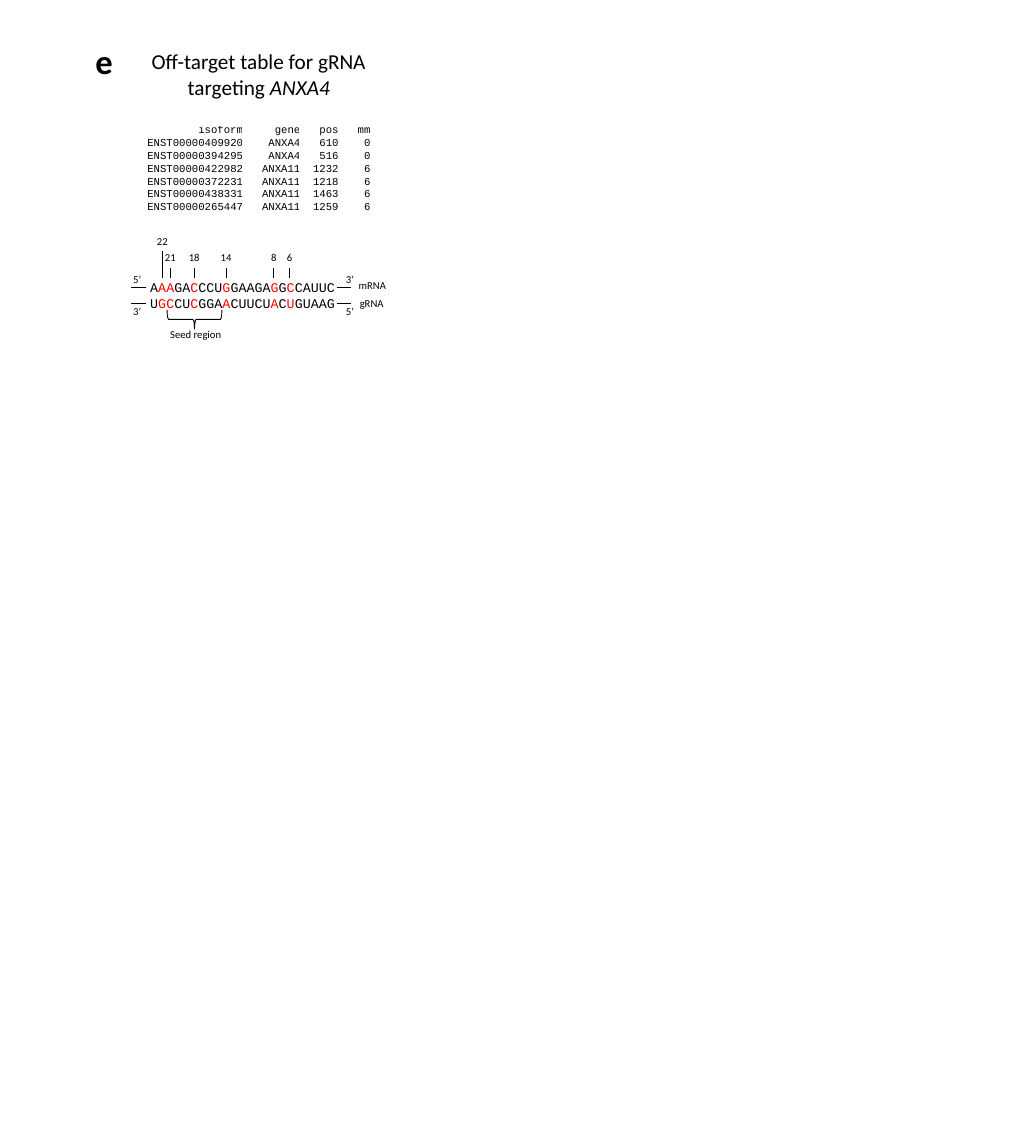
import dataclasses

import lxml.etree
import pptx
import pptx.dml.color
import pptx.enum.shapes
import pptx.enum.text
import pptx.oxml.ns
import pptx.util

ALIGN = pptx.enum.text.PP_ALIGN


@dataclasses.dataclass(frozen=True)
class Theme:
    ink: str = "000000"
    mismatch: str = "FF0000"
    sans: str = "Calibri"
    mono: str = "Courier New"
    panel_size: float = 19.5
    title_size: float = 12
    sequence_size: float = 7.5
    small_size: float = 6
    rule_width: float = 0.5


THEME = Theme()
SLIDE_WIDTH = pptx.util.Inches(8)
SLIDE_HEIGHT = pptx.util.Inches(9)

OFF_TARGETS = [
    ("isoform", "gene", "pos", "mm"),
    ("ENST00000409920", "ANXA4", "610", "0"),
    ("ENST00000394295", "ANXA4", "516", "0"),
    ("ENST00000422982", "ANXA11", "1232", "6"),
    ("ENST00000372231", "ANXA11", "1218", "6"),
    ("ENST00000438331", "ANXA11", "1463", "6"),
    ("ENST00000265447", "ANXA11", "1259", "6"),
]
COLUMN_CHARACTERS = (16, 9, 6, 5)
CHARACTER_SHARE = 0.625

STRANDS = ("AAAGACCCUGGAAGAGGCCAUUC", "UGCCUCGGAACUUCUACUGUAAG")
MISMATCH_POSITIONS = (22, 21, 18, 14, 8, 6)
FIRST_BASE_LEFT = 14.75
BASE_SHARE = 0.78


def across(share):
    return round(SLIDE_WIDTH * share / 100)


def down(share):
    return round(SLIDE_HEIGHT * share / 100)


def area(left, top, width, height):
    return across(left), down(top), across(width), down(height)


def style(paragraph, size, family=THEME.sans, align=ALIGN.CENTER, bold=False):
    paragraph.alignment = align
    for font in (paragraph.font, *(run.font for run in paragraph.runs)):
        font.size = pptx.util.Pt(size)
        font.name = family
        font.bold = bold
        font.color.rgb = pptx.dml.color.RGBColor.from_string(THEME.ink)


def add_label(shapes, text, center, top, width, size=THEME.small_size, height=2.22, bold=False):
    frame = shapes.add_textbox(*area(center - width / 2, top, width, height)).text_frame
    frame.word_wrap = False
    frame.text = text
    style(frame.paragraphs[0], size, bold=bold)


def outline(line):
    line.color.rgb = pptx.dml.color.RGBColor.from_string(THEME.ink)
    line.width = pptx.util.Pt(THEME.rule_width)


def add_rule(shapes, start, end):
    rule = shapes.add_connector(
        pptx.enum.shapes.MSO_CONNECTOR.STRAIGHT,
        across(start[0]), down(start[1]), across(end[0]), down(end[1]),
    )
    outline(rule.line)
    lxml.etree.SubElement(rule._element.spPr, pptx.oxml.ns.qn("a:effectLst"))


def set_title(slide):
    title = slide.shapes.title
    title.left, title.top, title.width, title.height = area(13.5, 3.67, 23.75, 5.56)
    frame = title.text_frame
    frame.word_wrap = False
    frame.auto_size = pptx.enum.text.MSO_AUTO_SIZE.NONE
    frame.vertical_anchor = pptx.enum.text.MSO_ANCHOR.TOP
    frame.text = "Off-target table for gRNA\ntargeting "
    gene = frame.paragraphs[1].add_run()
    gene.text = "ANXA4"
    for paragraph in frame.paragraphs:
        style(paragraph, THEME.title_size)
    gene.font.italic = True


def add_off_target_table(shapes):
    widths = [count * CHARACTER_SHARE for count in COLUMN_CHARACTERS]
    row_height = 1.11
    table = shapes.add_table(
        len(OFF_TARGETS), len(widths),
        *area(13.81, 10.89, sum(widths), row_height * len(OFF_TARGETS)),
    ).table
    table.first_row = False
    table.horz_banding = False
    for column, width in zip(table.columns, widths):
        column.width = across(width)
    for row, values in zip(table.rows, OFF_TARGETS):
        row.height = down(row_height)
        for cell, value in zip(row.cells, values):
            cell.fill.background()
            cell.margin_left = cell.margin_right = cell.margin_top = cell.margin_bottom = 0
            cell.text = value
            style(cell.text_frame.paragraphs[0], THEME.small_size, THEME.mono, ALIGN.RIGHT)


def add_strands(shapes):
    frame = shapes.add_textbox(*area(13.5, 23.78, 20.63, 3.89)).text_frame
    frame.word_wrap = False
    frame.text = "\n".join([""] * len(STRANDS))
    for paragraph, strand in zip(frame.paragraphs, STRANDS):
        for index, base in enumerate(strand):
            paragraph.add_run().text = base
        style(paragraph, THEME.sequence_size, THEME.mono, ALIGN.LEFT)
        for position in MISMATCH_POSITIONS:
            mismatch = paragraph.runs[len(strand) - position]
            mismatch.font.color.rgb = pptx.dml.color.RGBColor.from_string(THEME.mismatch)


def add_strand_ends(shapes):
    for rule_top, label_top, left_end, right_end in (
        (25, 23.22, "5’", "3’"),
        (26.44, 26, "3’", "5’"),
    ):
        for rule_left, label_center, end in ((12.88, 13.44, left_end), (33, 34.31, right_end)):
            add_rule(shapes, (rule_left, rule_top), (rule_left + 1.45, rule_top))
            add_label(shapes, end, label_center, label_top, 3.38)
    add_label(shapes, "mRNA", 36.5, 23.78, 5.25)
    add_label(shapes, "gRNA", 36.44, 25.33, 4.88)


def add_mismatch_markers(shapes):
    for position in MISMATCH_POSITIONS:
        center = FIRST_BASE_LEFT + (len(STRANDS[0]) - position + 0.5) * BASE_SHARE
        raised = position == MISMATCH_POSITIONS[0]
        add_rule(shapes, (center, 24.22), (center, 21.89 if raised else 23.33))
        add_label(shapes, str(position), center, 19.89 if raised else 21.33, 3.63)


def add_seed_region(shapes):
    brace = shapes.add_shape(
        pptx.enum.shapes.MSO_SHAPE.RIGHT_BRACE, *area(18.13, 25.44, 1.88, 4.78)
    )
    brace.rotation = 90
    brace.shadow.inherit = False
    brace.fill.background()
    outline(brace.line)
    add_label(shapes, "Seed region", 19.19, 28, 7.63)


def main():
    deck = pptx.Presentation()
    deck.slide_width, deck.slide_height = SLIDE_WIDTH, SLIDE_HEIGHT
    slide = deck.slides.add_slide(deck.slide_layouts.get_by_name("Title Only"))
    set_title(slide)
    add_label(slide.shapes, "e", 10.08, 2.89, 3.9, THEME.panel_size, 4.78, True)
    add_off_target_table(slide.shapes)
    alignment = slide.shapes.add_group_shape().shapes
    add_strands(alignment)
    add_strand_ends(alignment)
    add_mismatch_markers(alignment)
    add_seed_region(alignment)
    deck.save("out.pptx")


main()
